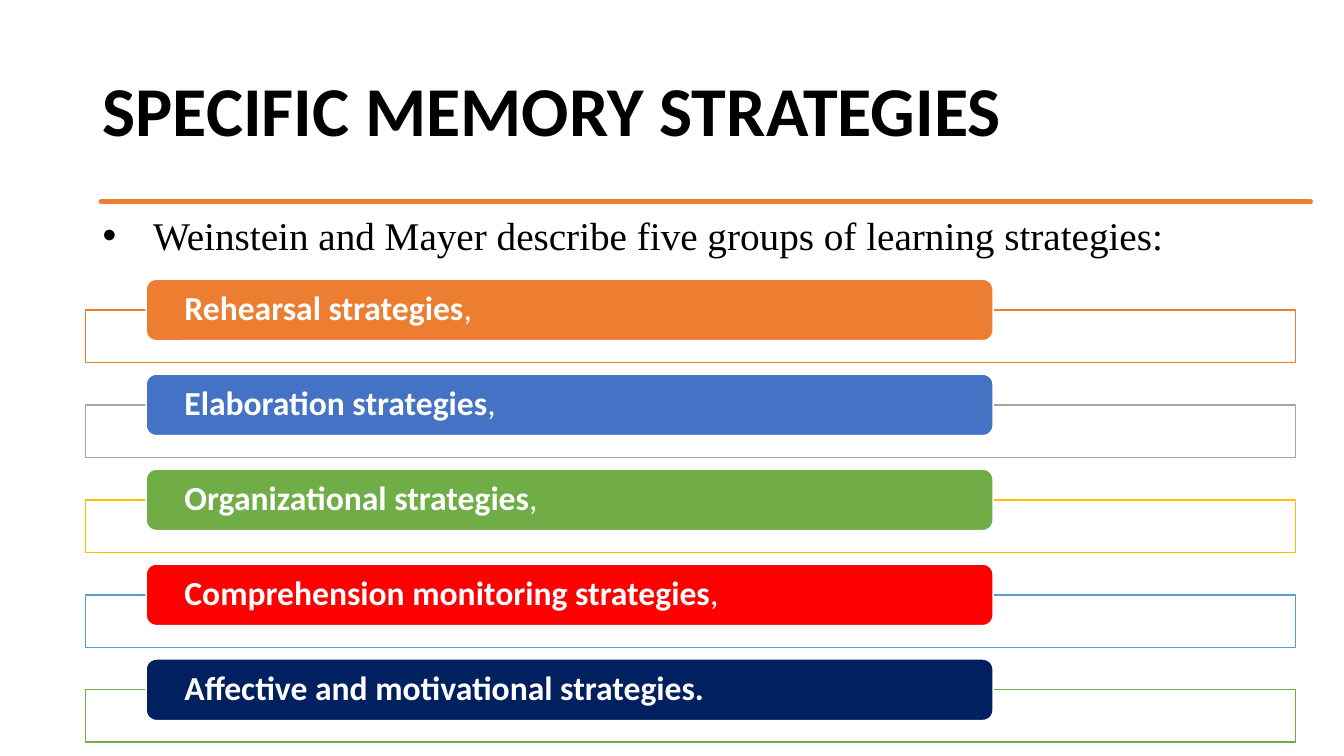
import math

from lxml import etree
from pptx import Presentation
from pptx import util as u
from pptx.dml.color import RGBColor
from pptx.enum import shapes, text
from pptx.oxml.ns import qn

WIDTH, HEIGHT = 13.33, 7.5
COLORS = {
    "black": "000000", "white": "FFFFFF", "orange": "ED7D31", "gray": "A5A5A5",
    "gold": "FFC000", "sky": "5B9BD5", "green": "70AD47", "blue": "4472C4",
    "red": "FF0000", "navy": "002060",
}
# Bold label, plain ending, bar colour, frame colour
STRATEGIES = [
    ("Rehearsal strategies", ",", "orange", "orange"),
    ("Elaboration strategies", ",", "blue", "gray"),
    ("Organizational strategies", ",", "green", "gold"),
    ("Comprehension monitoring strategies", ",", "red", "sky"),
    ("Affective and motivational strategies.", "", "navy", "green"),
]


def rgb(name):
    return RGBColor.from_string(COLORS[name])


def write(shape, runs, size, font="Calibri", color="black", inset=(0.1, 0.05),
          anchor=text.MSO_ANCHOR.MIDDLE, align=text.PP_ALIGN.LEFT,
          spacing=None, bullet_indent=None):
    """Fill a shape with one paragraph of (wording, bold) runs."""
    frame = shape.text_frame
    frame.word_wrap = True
    frame.vertical_anchor = anchor
    frame.margin_left = frame.margin_right = u.Inches(inset[0])
    frame.margin_top = frame.margin_bottom = u.Inches(inset[1])
    paragraph = frame.paragraphs[0]
    if bullet_indent:
        properties = paragraph._p.get_or_add_pPr()
        properties.set("marL", str(u.Inches(bullet_indent)))
        properties.set("indent", str(-u.Inches(bullet_indent)))
        etree.SubElement(properties, qn("a:buFont")).set("typeface", "Arial")
        etree.SubElement(properties, qn("a:buChar")).set("char", "•")
    paragraph.alignment = align
    paragraph.line_spacing = spacing
    for wording, bold in runs:
        run = paragraph.add_run()
        run.text = wording
        run.font.name, run.font.size = font, u.Pt(size)
        run.font.bold, run.font.color.rgb = bold, rgb(color)


def add_text(slide, box, runs, size, **style):
    write(slide.shapes.add_textbox(*map(u.Inches, box)), runs, size, **style)


def paint(shape, fill, line, width=1):
    shape.shadow.inherit = False
    shape.fill.solid()
    shape.fill.fore_color.rgb = rgb(fill)
    shape.line.color.rgb = rgb(line)
    shape.line.width = u.Pt(width)


def add_box(slide, kind, box, fill, line):
    shape = slide.shapes.add_shape(kind, *map(u.Inches, box))
    paint(shape, fill, line)
    return shape


def add_brush_rule(slide, left, top, width, height, steps=120):
    """Draw a thin band whose two edges waver like a brush stroke."""
    def edge(y, phase):
        return [(left + width * i / steps,
                 y + 0.008 * (math.sin(i * 0.23 + phase) + math.sin(i * 0.37)))
                for i in range(steps + 1)]

    outline = edge(top, 0) + edge(top + height, 2)[::-1]
    builder = slide.shapes.build_freeform(*outline[0], scale=u.Inches(1))
    builder.add_line_segments(outline[1:], close=True)
    paint(builder.convert_to_shape(), "orange", "orange", 3.25)


def add_strategy(slide, left, top, width, label, ending, bar_color, frame_color):
    bar_height = 0.61
    frame = add_box(slide, shapes.MSO_SHAPE.RECTANGLE,
                    (left, top + bar_height / 2, width, 0.52), "white", frame_color)
    tint = frame.fill._xPr.find(qn("a:solidFill"))[0]
    etree.SubElement(tint, qn("a:alpha")).set("val", "90000")
    bar = add_box(slide, shapes.MSO_SHAPE.ROUNDED_RECTANGLE,
                  (left + width * 0.05, top, width * 0.7, bar_height),
                  bar_color, "white")
    runs = [(label, True)] + ([(ending, False)] if ending else [])
    write(bar, runs, 24, color="white", inset=(0.35, 0.03), spacing=0.9)


def add_strategy_list(slide, left, top, width, height):
    pitch = height / len(STRATEGIES)
    for row, strategy in enumerate(STRATEGIES):
        add_strategy(slide, left, top + row * pitch, width, *strategy)


def add_heading(slide, left, top, width, height):
    add_text(slide, (left, top, width, height),
             [("SPECIFIC MEMORY STRATEGIES", True)], 50, spacing=0.9)
    add_brush_rule(slide, left - 0.19, top + height - 0.02, 11.87, 0.02)


def add_intro(slide, left, top, width, height):
    add_text(slide, (left, top, width, height),
             [("Weinstein and Mayer describe five groups of learning strategies:", False)],
             28, font="Times New Roman", anchor=text.MSO_ANCHOR.TOP,
             align=text.PP_ALIGN.JUSTIFY, bullet_indent=0.5)


def main():
    deck = Presentation()
    deck.slide_width, deck.slide_height = u.Inches(WIDTH), u.Inches(HEIGHT)
    slide = deck.slides.add_slide(deck.slide_layouts[6])
    add_heading(slide, 0.92, 0.4, 11.69, 1.45)
    add_intro(slide, 0.92, 2.05, 11.93, 0.57)
    add_strategy_list(slide, 0.85, 2.77, 12, 4.71)
    deck.save("out.pptx")


if __name__ == "__main__":
    main()
